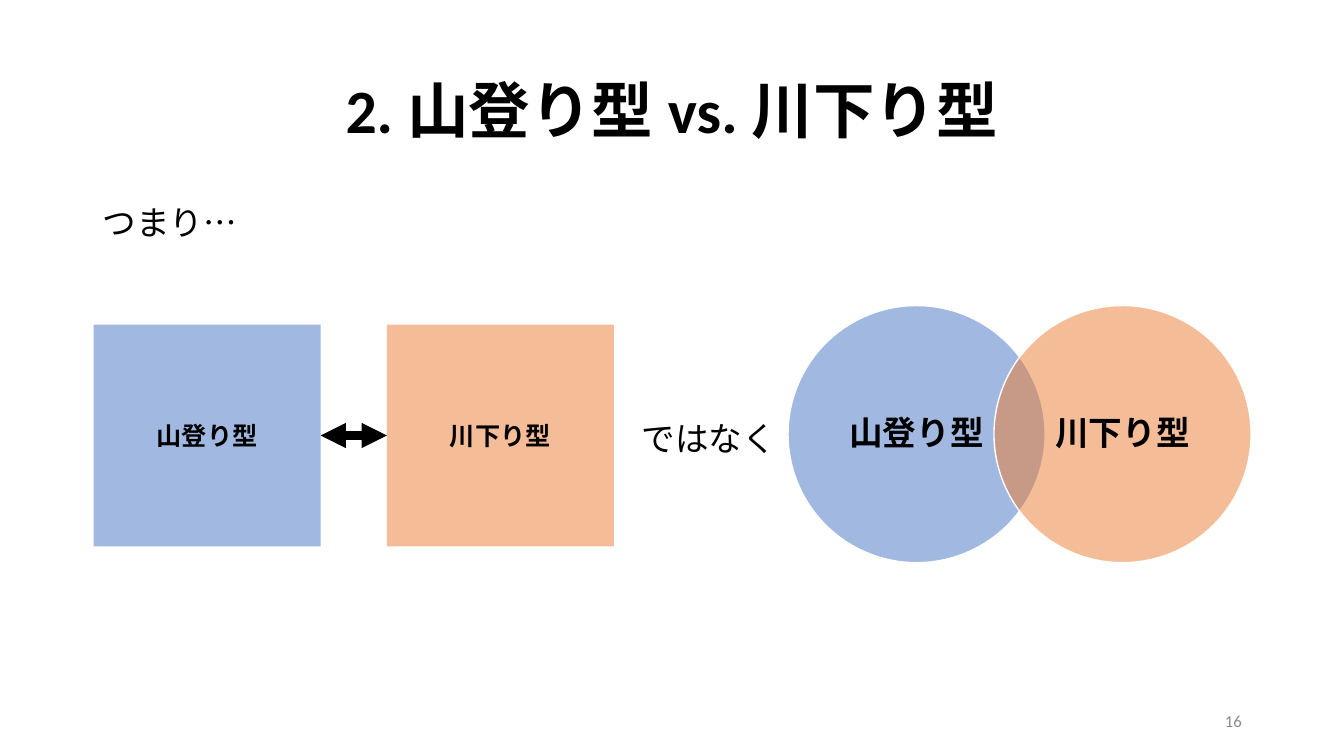
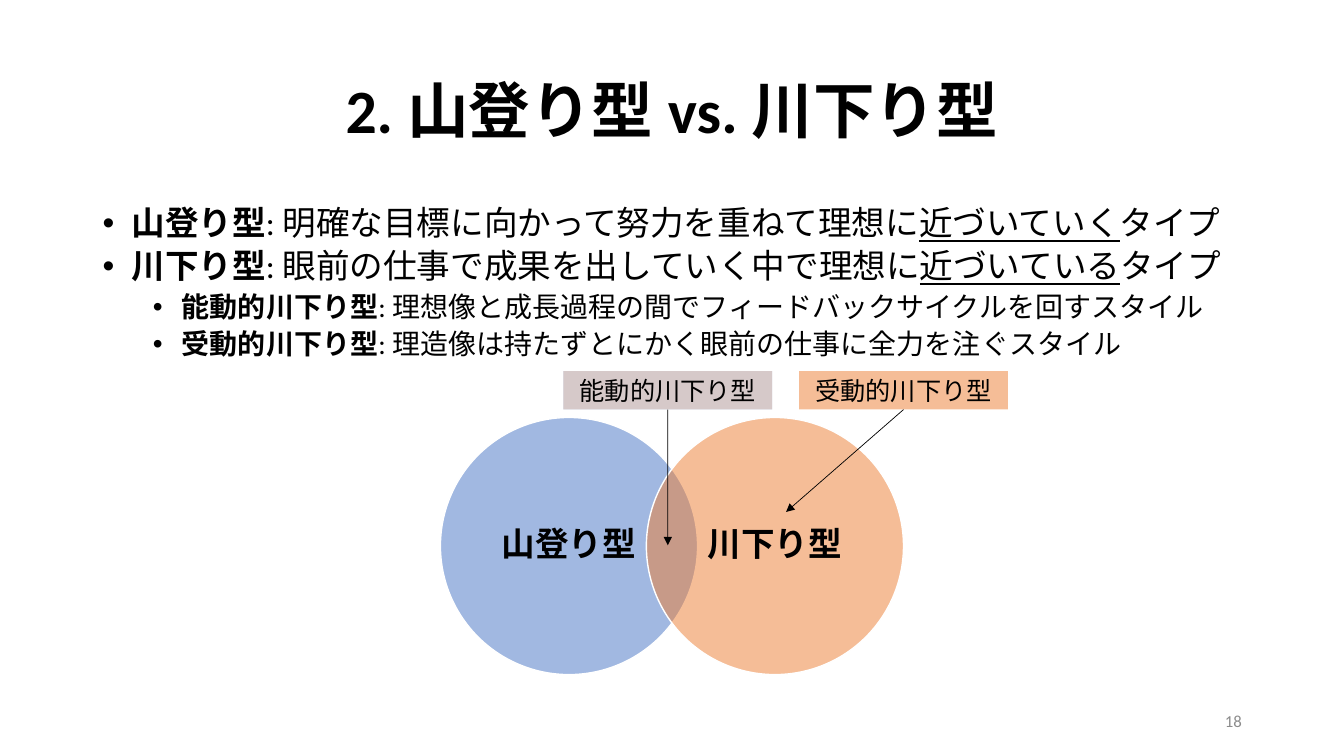
"""Build two slides comparing the mountain-climbing and river-descending career types."""
from typing import Any, NamedTuple, Optional

from lxml.etree import SubElement
from pptx import Presentation
from pptx.dml.color import RGBColor
from pptx.enum.lang import MSO_LANGUAGE_ID as Language
from pptx.enum.shapes import MSO_CONNECTOR as Connector, MSO_SHAPE as Preset
from pptx.enum.text import MSO_ANCHOR as Anchor, MSO_AUTO_SIZE as AutoSize, PP_ALIGN as Align
from pptx.oxml.ns import qn
from pptx.util import Cm, Pt

BLUE, ORANGE, PALE_BLUE, PALE_ORANGE = "4472C4", "ED7D31", "B4C7E7", "F8CBAD"
BLACK, WHITE, GRAY = "000000", "FFFFFF", "8C8C8C"
TITLE = "2. 山登り型 vs. 川下り型"
CLIMBING, DESCENDING = "山登り型", "川下り型"
ACTIVE, PASSIVE = "能動的川下り型", "受動的川下り型"

FONT = {"name": "Calibri", "language_id": Language.JAPANESE}
FRAME = {"word_wrap": True, "auto_size": AutoSize.NONE, "vertical_anchor": Anchor.MIDDLE}
TOP_FRAME = FRAME | {"vertical_anchor": Anchor.TOP}
NARROW_FRAME = FRAME | {"margin_left": Cm(0.1), "margin_right": Cm(0.1)}
CENTER = {"alignment": Align.CENTER}
TIGHT_CENTER = CENTER | {"line_spacing": 0.9}
LEFT = {"alignment": Align.LEFT, "line_spacing": 0.9}
LEVEL_SIZES = (24, 20)
LEVEL_INDENTS = (0.73, 2.0)
HANGING = 0.73

CIRCLE_SIZE, CIRCLE_STEP = 6.48, 5.19
SQUARE_WIDTH, SQUARE_HEIGHT, SQUARE_STEP = 5.72, 5.59, 7.39
LABEL_WIDTH, LABEL_HEIGHT, LABEL_STEP = 5.26, 0.97, 5.94


class Box(NamedTuple):
    """Position and size in centimetres."""
    left: float
    top: float
    width: float
    height: float


class Piece(NamedTuple):
    """Stretch of text in one style."""
    text: str
    bold: bool = False
    underline: bool = False


class Item(NamedTuple):
    """Paragraph of the body list."""
    pieces: tuple[Piece, ...]
    level: int = 0
    bulleted: bool = True


class Block(NamedTuple):
    """Filled shape with an optional centred text."""
    preset: Preset
    box: Box
    fill: str
    text: str = ""
    size: float = 18
    bold: bool = True
    alpha: int = 50
    outline: Optional[str] = None
    paragraph: dict[str, Any] = CENTER


TITLE_BOX = Box(2.33, 1.02, 29.21, 3.68)
BODY_BOX = Box(2.33, 5.08, 29.21, 12.09)
NUMBER_BOX = Box(23.93, 17.65, 7.62, 1.02)
JOINING_BOX = Box(15.92, 10.5, 3.9, 1.2)

INTRODUCTION = (Item((Piece("つまり…"),), bulleted=False),)
DEFINITIONS = (
    Item((Piece(CLIMBING, True), Piece(": 明確な目標に向かって努力を重ねて理想に"),
          Piece("近づいていく", underline=True), Piece("タイプ"))),
    Item((Piece(DESCENDING, True), Piece(": 眼前の仕事で成果を出していく中で理想に"),
          Piece("近づいている", underline=True), Piece("タイプ"))),
    Item((Piece(ACTIVE, True),
          Piece(": 理想像と成長過程の間でフィードバックサイクルを回すスタイル")), 1),
    Item((Piece(PASSIVE, True),
          Piece(": 理造像は持たずとにかく眼前の仕事に全力を注ぐスタイル")), 1),
)


def color(value: str) -> RGBColor:
    """Turn a hex string into a colour."""
    return RGBColor.from_string(value)


def apply(target: Any, values: dict[str, Any]) -> None:
    """Set every named attribute on the target."""
    for name, value in values.items():
        setattr(target, name, value)


def place(shape: Any, box: Box) -> None:
    """Move and size a shape."""
    apply(shape, {name: Cm(value) for name, value in box._asdict().items()})


def add_run(paragraph: Any, piece: Piece, size: float, hue: str = BLACK) -> None:
    """Append a formatted run."""
    run = paragraph.add_run()
    run.text = piece.text
    apply(run.font, FONT | {"size": Pt(size), "bold": piece.bold, "underline": piece.underline})
    run.font.color.rgb = color(hue)


def write(shape: Any, piece: Piece, size: float, layout: dict[str, Any],
          frame: dict[str, Any] = FRAME, hue: str = BLACK) -> None:
    """Write one paragraph in a shape."""
    apply(shape.text_frame, frame)
    paragraph = shape.text_frame.paragraphs[0]
    apply(paragraph, layout)
    add_run(paragraph, piece, size, hue)


def add_text(slide: Any, box: Box, text: str, size: float,
             layout: dict[str, Any], hue: str = BLACK) -> None:
    """Add a plain text box."""
    shape = slide.shapes.add_textbox(*map(Cm, box))
    write(shape, Piece(text), size, layout, hue=hue)


def fill_list(shape: Any, items: tuple[Item, ...]) -> None:
    """Write the body list with its bullets and indents."""
    frame = shape.text_frame
    apply(frame, TOP_FRAME)
    for index, item in enumerate(items):
        paragraph = frame.add_paragraph() if index else frame.paragraphs[0]
        apply(paragraph, LEFT | {"level": item.level, "space_before": Pt(5 if index else 0)})
        properties = paragraph._p.get_or_add_pPr()
        indent, hanging = (LEVEL_INDENTS[item.level], HANGING) if item.bulleted else (0, 0)
        properties.set("marL", str(Cm(indent)))
        properties.set("indent", str(-Cm(hanging)))
        if item.bulleted:
            SubElement(properties, qn("a:buFont"), typeface="Arial")
            SubElement(properties, qn("a:buChar"), char="•")
        else:
            SubElement(properties, qn("a:buNone"))
        for piece in item.pieces:
            add_run(paragraph, piece, LEVEL_SIZES[item.level])


def add_block(slide: Any, block: Block) -> Any:
    """Draw a filled shape."""
    shape = slide.shapes.add_shape(block.preset, *map(Cm, block.box))
    shape.shadow.inherit = False
    shape.fill.solid()
    shape.fill.fore_color.rgb = color(block.fill)
    if block.alpha < 100:
        hue = shape._element.spPr.find(qn("a:solidFill"))[0]
        SubElement(hue, qn("a:alpha"), val=str(block.alpha * 1000))
    if block.outline:
        shape.line.color.rgb = color(block.outline)
        shape.line.width = Pt(1)
    else:
        shape.line.fill.background()
    if block.text:
        write(shape, Piece(block.text, block.bold), block.size, block.paragraph, NARROW_FRAME)
    return shape


def add_arrow(slide: Any, start: Any, site: int, end: tuple[float, float], width: float,
              ends: tuple[str, ...] = ("tailEnd",)) -> Any:
    """Draw a straight arrow from a side of a shape."""
    arrow = slide.shapes.add_connector(Connector.STRAIGHT, 0, 0, *map(Cm, end))
    arrow.begin_connect(start, site)
    arrow.line.color.rgb = color(BLACK)
    arrow.line.width = Pt(width)
    properties = arrow._element.spPr
    for name in ends:
        SubElement(properties.find(qn("a:ln")), qn(f"a:{name}"), type="triangle")
    SubElement(properties, qn("a:effectLst"))
    return arrow


def add_venn(slide: Any, left: float, top: float) -> None:
    """Draw the two overlapping circles."""
    for index, (text, fill) in enumerate(((CLIMBING, BLUE), (DESCENDING, ORANGE))):
        box = Box(left + index * CIRCLE_STEP, top, CIRCLE_SIZE, CIRCLE_SIZE)
        add_block(slide, Block(Preset.OVAL, box, fill, text, 24, outline=WHITE,
                               paragraph=TIGHT_CENTER))


def add_base(presentation: Any, number: int, items: tuple[Item, ...]) -> Any:
    """Add a slide with title, body list and number."""
    slide = presentation.slides.add_slide(presentation.slide_layouts[1])
    title, body = slide.shapes.title, slide.placeholders[1]
    place(title, TITLE_BOX)
    write(title, Piece(TITLE, True), 44, TIGHT_CENTER)
    place(body, BODY_BOX)
    fill_list(body, items)
    add_text(slide, NUMBER_BOX, str(number), 12, {"alignment": Align.RIGHT}, GRAY)
    return slide


def build_contrast(presentation: Any) -> None:
    """Build the slide that sets opposition against overlap."""
    slide = add_base(presentation, 16, INTRODUCTION)
    add_text(slide, JOINING_BOX, "ではなく", 24, LEFT)
    add_venn(slide, 19.86, 7.7)
    climbing, descending = (
        add_block(slide, Block(Preset.RECTANGLE,
                               Box(2.36 + index * SQUARE_STEP, 8.18, SQUARE_WIDTH, SQUARE_HEIGHT),
                               fill, text))
        for index, (text, fill) in enumerate(((CLIMBING, BLUE), (DESCENDING, ORANGE))))
    arrow = add_arrow(slide, climbing, 3, (9.75, 10.98), 6, ("headEnd", "tailEnd"))
    arrow.end_connect(descending, 1)


def build_definitions(presentation: Any) -> None:
    """Build the slide that defines the types."""
    slide = add_base(presentation, 18, DEFINITIONS)
    add_venn(slide, 11.1, 10.52)
    active_box = Box(14.2, 9.35, LABEL_WIDTH, LABEL_HEIGHT)
    passive_box = active_box._replace(left=active_box.left + LABEL_STEP)
    add_block(slide, Block(Preset.RECTANGLE, active_box, PALE_BLUE, alpha=100))
    labels = ((ACTIVE, active_box, PALE_ORANGE, (16.83, 13.74)),
              (PASSIVE, passive_box, ORANGE, (19.81, 12.9)))
    for text, box, fill, target in labels:
        label = add_block(slide, Block(Preset.RECTANGLE, box, fill, text, bold=False))
        add_arrow(slide, label, 2, target, 0.5)


def main() -> None:
    """Build and save the presentation."""
    presentation = Presentation()
    apply(presentation, {"slide_width": Cm(33.87), "slide_height": Cm(19.05)})
    build_contrast(presentation)
    build_definitions(presentation)
    presentation.save("out.pptx")


if __name__ == "__main__":
    main()
